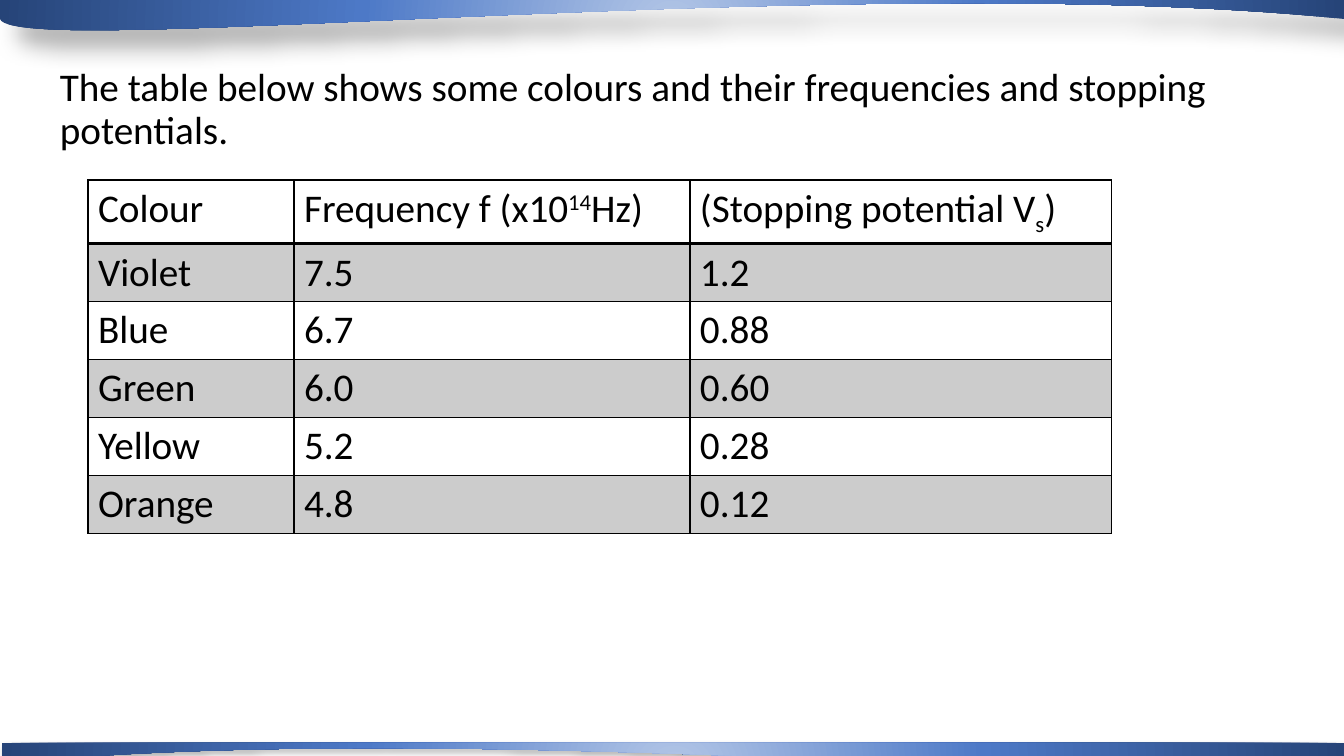
import lxml.etree
import pptx
import pptx.dml.color
import pptx.oxml
import pptx.oxml.ns
import pptx.util

SLIDE_SIZE = (1344, 756)
INTRO = "The table below shows some colours and their frequencies and stopping potentials."
INTRO_BOX = (50, 63, 1255, 674)
HEADER = [
    [("Colour", 0)],
    [("Frequency f (x10", 0), ("14", 30), ("Hz)", 0)],
    [("(Stopping potential V", 0), ("s", -25), (")", 0)],
]
READINGS = [
    ("Violet", "7.5", "1.2"),
    ("Blue", "6.7", "0.88"),
    ("Green", "6.0", "0.60"),
    ("Yellow", "5.2", "0.28"),
    ("Orange", "4.8", "0.12"),
]
TABLE_LEFT, TABLE_TOP = 88, 180
COLUMN_WIDTHS = (206, 396, 422)
HEADER_HEIGHT, ROW_HEIGHT = 63, 58
WAVE = [(0, 19), (14, 61), (855, -32), (1344, 19)]
WAVE_TOP = -2
WAVE_STEPS = 60
FOOTER_SHIFT = (1346, 745)
HEADER_SHADOW = {"blur": 15, "distance": 18, "angle": 45}
FOOTER_SHADOW = {"blur": 4.5, "distance": 2.6, "angle": 53}

FONT = "Calibri"
FONT_SIZE = pptx.util.Pt(28)
BLACK = pptx.dml.color.RGBColor(0x00, 0x00, 0x00)
PALE_BLUE = pptx.dml.color.RGBColor(0xB4, 0xC7, 0xE7)
MID_BLUE = pptx.dml.color.RGBColor(0x4D, 0x79, 0xC7)
DARK_BLUE = pptx.dml.color.RGBColor(0x26, 0x44, 0x78)
GRADIENT = [(0, PALE_BLUE), (46, MID_BLUE), (100, DARK_BLUE)]

SCALE = 914400 / 100.8
NAMESPACE = pptx.oxml.ns.nsdecls("a")


def px(length):
    return pptx.util.Emu(round(length * SCALE))


def bezier(points, t):
    weights = ((1 - t) ** 3, 3 * t * (1 - t) ** 2, 3 * t * t * (1 - t), t ** 3)
    return tuple(sum(w * point[axis] for w, point in zip(weights, points)) for axis in (0, 1))


def add_band(slide, place, shadow):
    curve = [bezier(WAVE, step / WAVE_STEPS) for step in range(WAVE_STEPS + 1)]
    outline = curve + [(SLIDE_SIZE[0], WAVE_TOP), (0, WAVE_TOP)]
    points = [tuple(px(value) for value in place(x, y)) for x, y in outline]
    builder = slide.shapes.build_freeform(*points[0])
    builder.add_line_segments(points[1:], close=True)
    band = builder.convert_to_shape()
    band.line.fill.background()
    band.fill.background()
    properties = band._element.spPr
    stops = "".join(
        f'<a:gs pos="{position * 1000}"><a:srgbClr val="{color}"/></a:gs>'
        for position, color in GRADIENT
    )
    gradient = pptx.oxml.parse_xml(
        f'<a:gradFill {NAMESPACE} rotWithShape="1"><a:gsLst>{stops}</a:gsLst>'
        '<a:path path="circle"><a:fillToRect l="50000" t="130000" r="50000" b="-30000"/>'
        "</a:path></a:gradFill>"
    )
    properties.replace(properties.find(pptx.oxml.ns.qn("a:noFill")), gradient)
    band.shadow.inherit = False
    effects = properties.find(pptx.oxml.ns.qn("a:effectLst"))
    effects.append(pptx.oxml.parse_xml(
        f'<a:outerShdw {NAMESPACE} blurRad="{pptx.util.Pt(shadow["blur"])}" '
        f'dist="{pptx.util.Pt(shadow["distance"])}" dir="{shadow["angle"] * 60000}" '
        f'algn="tl" rotWithShape="0"><a:srgbClr val="{BLACK}">'
        '<a:alpha val="30000"/></a:srgbClr></a:outerShdw>'
    ))


def add_run(paragraph, text, baseline=0):
    run = paragraph.add_run()
    run.text = text
    run.font.name = FONT
    run.font.size = FONT_SIZE
    run.font.bold = False
    run.font.color.rgb = BLACK
    if baseline:
        run._r.get_or_add_rPr().set("baseline", str(baseline * 1000))


def style_cell(cell, shaded, top, bottom):
    if shaded:
        cell.fill.solid()
        cell.fill.fore_color.rgb = BLACK
        color = cell._tc.tcPr.find(".//" + pptx.oxml.ns.qn("a:srgbClr"))
        lxml.etree.SubElement(color, pptx.oxml.ns.qn("a:alpha"), val="20000")
    else:
        cell.fill.background()
    borders = (("lnL", 1), ("lnR", 1), ("lnT", top), ("lnB", bottom))
    for index, (side, width) in enumerate(borders):
        cell._tc.tcPr.insert(index, pptx.oxml.parse_xml(
            f'<a:{side} {NAMESPACE} w="{pptx.util.Pt(width)}"><a:solidFill>'
            f'<a:srgbClr val="{BLACK}"/></a:solidFill></a:{side}>'
        ))


def add_readings_table(slide):
    rows = [HEADER] + [[[(text, 0)] for text in reading] for reading in READINGS]
    heights = [HEADER_HEIGHT] + [ROW_HEIGHT] * len(READINGS)
    frame = slide.shapes.add_table(
        len(rows), len(COLUMN_WIDTHS), px(TABLE_LEFT), px(TABLE_TOP),
        px(sum(COLUMN_WIDTHS)), px(sum(heights)),
    )
    table = frame.table
    table.first_row = False
    table.horz_banding = False
    for column, width in zip(table.columns, COLUMN_WIDTHS):
        column.width = px(width)
    for row_index, (row, height) in enumerate(zip(rows, heights)):
        table.rows[row_index].height = px(height)
        top = 2 if row_index == 1 else 1
        bottom = 2 if row_index == 0 else 1
        for column_index, pieces in enumerate(row):
            cell = table.cell(row_index, column_index)
            for text, baseline in pieces:
                add_run(cell.text_frame.paragraphs[0], text, baseline)
            style_cell(cell, row_index % 2 == 1, top, bottom)


def main():
    presentation = pptx.Presentation()
    presentation.slide_width, presentation.slide_height = map(px, SLIDE_SIZE)
    slide = presentation.slides.add_slide(presentation.slide_layouts[6])
    add_band(slide, lambda x, y: (x, y), HEADER_SHADOW)
    add_band(slide, lambda x, y: (FOOTER_SHIFT[0] - x, FOOTER_SHIFT[1] + y), FOOTER_SHADOW)
    intro = slide.shapes.add_textbox(*map(px, INTRO_BOX))
    intro.text_frame.word_wrap = True
    paragraph = intro.text_frame.paragraphs[0]
    paragraph.line_spacing = 0.9
    add_run(paragraph, INTRO)
    add_readings_table(slide)
    presentation.save("out.pptx")


if __name__ == "__main__":
    main()
